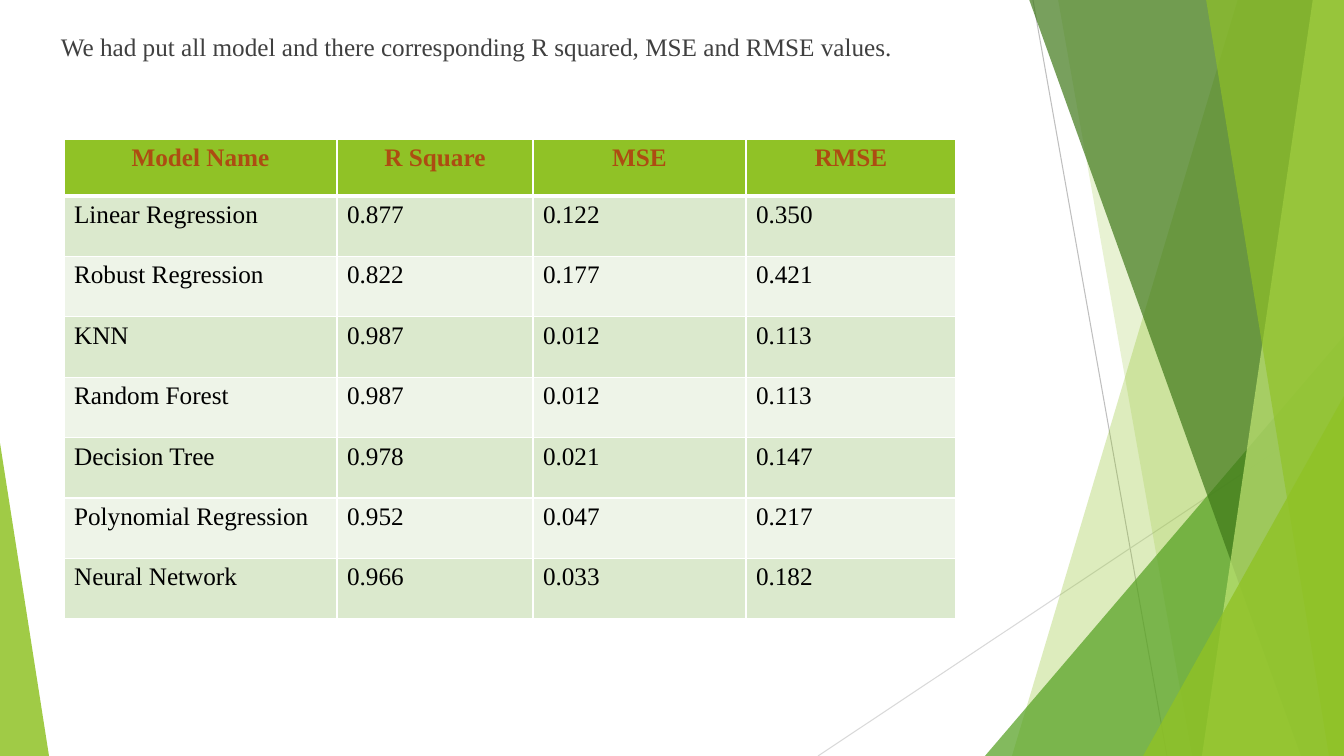
"""Build the model comparison slide: R squared, MSE and RMSE on a green facet backdrop."""
from lxml import etree
from pptx import Presentation
from pptx.dml.color import RGBColor
from pptx.enum.shapes import MSO_CONNECTOR, MSO_SHAPE
from pptx.enum.text import MSO_ANCHOR, PP_ALIGN
from pptx.oxml.ns import qn
from pptx.util import Pt

STRAIGHT = MSO_CONNECTOR.STRAIGHT
TRIANGLE = MSO_SHAPE.ISOSCELES_TRIANGLE
TOP, LEFT, CENTER = MSO_ANCHOR.TOP, PP_ALIGN.LEFT, PP_ALIGN.CENTER

WIDTH, HEIGHT = 1344, 756
SCALE = 12192000 / WIDTH
COLORS = {
    "lime": "90C226", "leaf": "54A021", "forest": "3F7819", "pale": "C0E474",
    "ray": "BFBFBF", "faint_ray": "D9D9D9", "title": "404040",
    "header_text": "AD4C12", "body_text": "000000", "border": "FFFFFF",
    "odd_row": "DBE9CD", "even_row": "EEF4E8",
}


def px(length):
    return round(length * SCALE)


def write(paragraph, text, color, bold, align):
    paragraph.text = text
    paragraph.alignment = align
    paragraph.font.color.rgb = RGBColor.from_string(COLORS[color])
    text_format = {"name": "Times New Roman", "size": Pt(18), "bold": bold}
    for attribute, value in text_format.items():
        setattr(paragraph.font, attribute, value)


prs = Presentation()
prs.slide_width, prs.slide_height = px(WIDTH), px(HEIGHT)
slide = prs.slides.add_slide(prs.slide_layouts[6])
shapes = slide.shapes

rays = [((1033, 0, 1167, HEIGHT), "ray"), ((WIDTH, 406, 818, HEIGHT), "faint_ray")]
for ends, color in rays:
    ray = shapes.add_connector(STRAIGHT, *map(px, ends))
    ray.line.color.rgb = RGBColor.from_string(COLORS[color])
    ray.line.width = Pt(0.75)
    etree.SubElement(ray._element.spPr, qn("a:effectLst"))

# Panels: top and bottom x of the left edge. Triangles: left, top, width, apex.
facets = [
    ((1238, 1012), "lime", 30),
    ((1058, 1192), "lime", 20),
    ((985, 336, 359, 1), "leaf", 72),
    ((1029, 1301), "forest", 70),
    ((1313, 1202), "pale", 70),
    ((1206, 1329), "lime", 65),
    ((1143, 396, 201, 1), "lime", 80),
    ((0, 443, 49, 0), "lime", 85),
]
for geometry, color, opacity in facets:
    if len(geometry) == 2:
        top_x, bottom_x = geometry
        outline = shapes.build_freeform(top_x, -1, SCALE)
        outline.add_line_segments([(WIDTH, -1), (WIDTH, HEIGHT), (bottom_x, HEIGHT)])
        facet = outline.convert_to_shape()
    else:
        left, top, width, apex = geometry
        facet = shapes.add_shape(TRIANGLE, px(left), px(top), px(width), px(HEIGHT - top))
        facet.adjustments[0] = apex
    facet.shadow.inherit = False
    facet.line.fill.background()
    facet.fill.solid()
    facet.fill.fore_color.rgb = RGBColor.from_string(COLORS[color])
    tint = facet._element.spPr.find(".//" + qn("a:srgbClr"))
    etree.SubElement(tint, qn("a:alpha"), val=str(opacity * 1000))

title = shapes.add_textbox(px(51), px(26), px(917), px(75)).text_frame
title.word_wrap = True
title.vertical_anchor = TOP
write(
    title.paragraphs[0],
    "We had put all model and there corresponding R squared, MSE and RMSE values.",
    "title", False, LEFT,
)

results = [
    ("Model Name", "R Square", "MSE", "RMSE"),
    ("Linear Regression", "0.877", "0.122", "0.350"),
    ("Robust Regression", "0.822", "0.177", "0.421"),
    ("KNN", "0.987", "0.012", "0.113"),
    ("Random Forest", "0.987", "0.012", "0.113"),
    ("Decision Tree", "0.978", "0.021", "0.147"),
    ("Polynomial Regression", "0.952", "0.047", "0.217"),
    ("Neural Network", "0.966", "0.033", "0.182"),
]
column_widths = [273, 196, 213, 210]
header_height, body_height = 57, 423
table = shapes.add_table(
    len(results), len(column_widths), px(64), px(139),
    px(sum(column_widths)), px(header_height + body_height),
).table
for column, width in zip(table.columns, column_widths):
    column.width = px(width)

for row_index, values in enumerate(results):
    is_header = row_index == 0
    row_height = header_height if is_header else body_height / (len(results) - 1)
    table.rows[row_index].height = px(row_height)
    row_color = "lime" if is_header else "odd_row" if row_index % 2 else "even_row"
    borders = {"L": 1, "R": 1, "T": 3 if row_index == 1 else 1, "B": 3 if is_header else 1}
    for column_index, value in enumerate(values):
        cell = table.cell(row_index, column_index)
        write(
            cell.text_frame.paragraphs[0], value,
            "header_text" if is_header else "body_text",
            is_header, CENTER if is_header else LEFT,
        )
        cell.fill.solid()
        cell.fill.fore_color.rgb = RGBColor.from_string(COLORS[row_color])
        properties = cell._tc.get_or_add_tcPr()
        for position, (side, points) in enumerate(borders.items()):
            border = etree.Element(qn("a:ln" + side), w=str(Pt(points)))
            border_fill = etree.SubElement(border, qn("a:solidFill"))
            etree.SubElement(border_fill, qn("a:srgbClr"), val=COLORS["border"])
            properties.insert(position, border)

prs.save("out.pptx")
